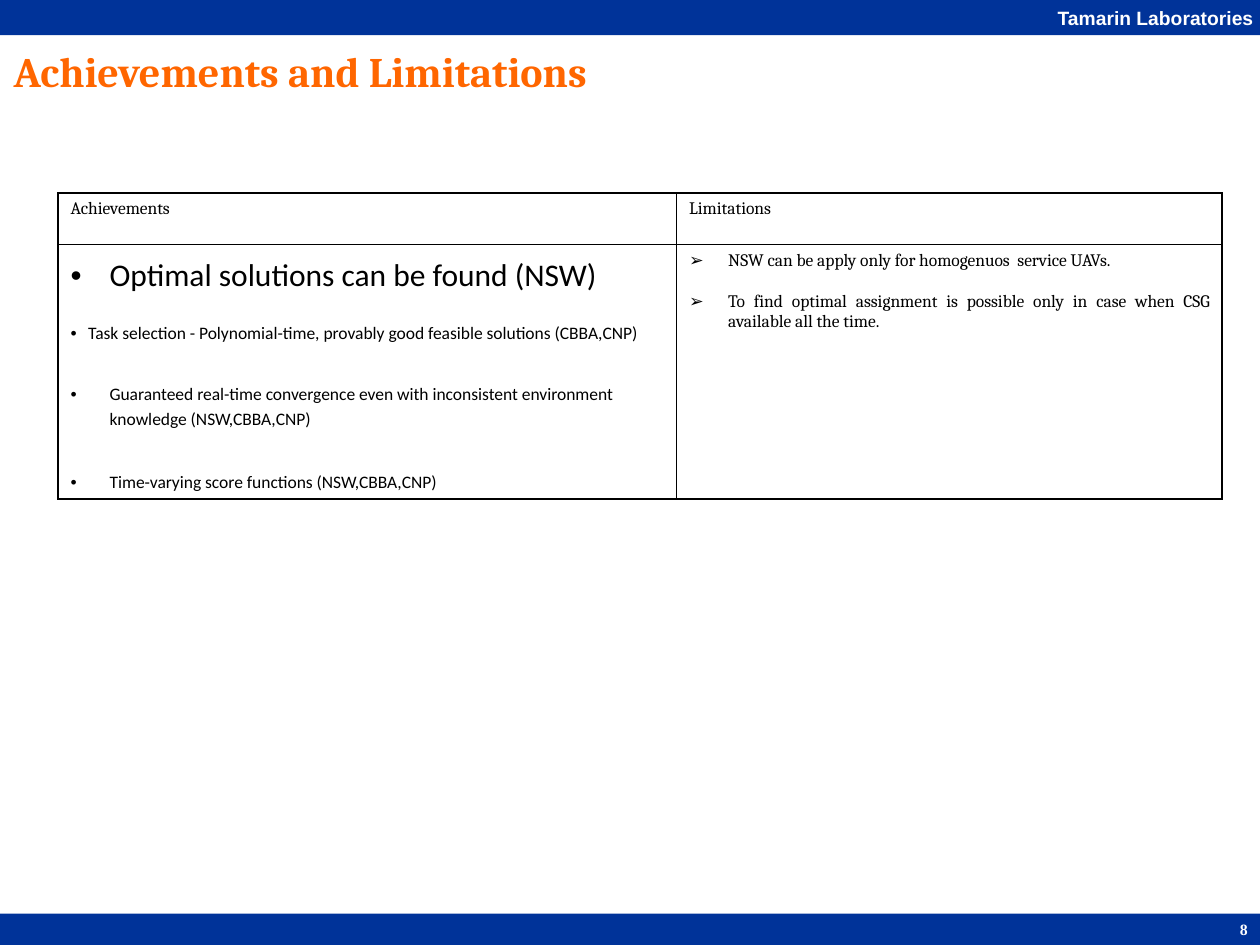
import pptx
import pptx.util
import pptx.dml.color
import pptx.enum.shapes
import pptx.enum.text
import pptx.oxml.ns
from lxml import etree

Inch, Pt = pptx.util.Inches, pptx.util.Pt
Align = pptx.enum.text.PP_ALIGN
Anchor = pptx.enum.text.MSO_ANCHOR
WIDE, HIGH = 10, 7.5
BLUE, ORANGE, WHITE, BLACK = "003399", "FF6600", "FFFFFF", "000000"

# Content
OWNER = "Tamarin Laboratories"
TITLE = "Achievements and Limitations"
PAGE = "8"
HEADS = ["Achievements", "Limitations"]
# text, size, space before, indent
GAINS = [
    ("Optimal solutions can be found (NSW)", 18, 0, 0.31),
    ("Task selection - Polynomial-time, provably good feasible solutions (CBBA,CNP)", 10, 14, 0.14),
    ("Guaranteed real-time convergence even with inconsistent environment knowledge (NSW,CBBA,CNP)",
     10, 21.2, 0.31),
    ("Time-varying score functions (NSW,CBBA,CNP)", 10, 22.4, 0.31),
]
LIMITS = [
    ("NSW can be apply only for homogenuos  service UAVs.", 10, 0, 0.31),
    ("To find optimal assignment is possible only in case when CSG available all the time.",
     10, 11.7, 0.31),
]
COLS, ROWS = [4.91, 4.33], [0.41, 2.02]


def color(code):
    return pptx.dml.color.RGBColor.from_string(code)


def style(para, size, face, code, bold=False, align=Align.LEFT):
    para.alignment = align
    for run in para.runs:
        font = run.font
        font.size, font.name, font.bold = Pt(size), face, bold
        font.color.rgb = color(code)


def node(parent, tag, **attrs):
    return etree.SubElement(parent, pptx.oxml.ns.qn(tag), **attrs)


def bar(top, high):
    shape = slide.shapes.add_shape(pptx.enum.shapes.MSO_SHAPE.RECTANGLE,
                                   0, Inch(top), Inch(WIDE), Inch(high))
    shape.shadow.inherit = False
    shape.fill.solid()
    shape.fill.fore_color.rgb = color(BLUE)
    shape.line.fill.background()
    return shape


def label(text, left, top, wide, high, anchor):
    frame = slide.shapes.add_textbox(*map(Inch, (left, top, wide, high))).text_frame
    frame.word_wrap, frame.vertical_anchor = True, anchor
    frame.text = text
    return frame.paragraphs[0]


def border(cell):
    cell.fill.background()
    props = cell._tc.get_or_add_tcPr()
    for spot, side in enumerate("LRTB"):
        line = node(props, "a:ln" + side, w=str(Pt(1)))
        node(node(line, "a:solidFill"), "a:srgbClr", val=BLACK)
        props.insert(spot, line)


def bullets(cell, items, mark, face, align, space):
    frame = cell.text_frame
    frame.text = "\n".join(item[0] for item in items)
    for para, (_, size, gap, indent) in zip(frame.paragraphs, items):
        style(para, size, face, BLACK, align=align)
        para.line_spacing, para.space_before = space, Pt(gap)
        props = para._p.get_or_add_pPr()
        props.set("marL", str(Inch(indent)))
        props.set("indent", str(-Inch(indent)))
        node(props, "a:buFont", typeface="Arial")
        node(props, "a:buChar", char=mark)


deck = pptx.Presentation()
deck.slide_width, deck.slide_height = Inch(WIDE), Inch(HIGH)
slide = deck.slides.add_slide(deck.slide_layouts[6])

# Bars at foot and head
bar(HIGH - 0.25, 0.25)
frame = bar(0, 0.28).text_frame
frame.margin_left = frame.margin_top = frame.margin_bottom = 0
frame.margin_right = Inch(0.05)
frame.word_wrap, frame.vertical_anchor = False, Anchor.MIDDLE
frame.text = OWNER
style(frame.paragraphs[0], 11, "Arial", WHITE, True, Align.RIGHT)

# Page number and title
style(label(PAGE, 7.58, 7, 2.42, 0.5, Anchor.BOTTOM),
      9, "Times New Roman", WHITE, True, Align.RIGHT)
style(label(TITLE, 0.01, 0.31, 8.37, 0.5, Anchor.TOP), 24, "Cambria", ORANGE, True)

# Table
table = slide.shapes.add_table(len(ROWS), len(COLS), Inch(0.46), Inch(1.53),
                               Inch(sum(COLS)), Inch(sum(ROWS))).table
table.first_row = table.horz_banding = False
for col, wide in zip(table.columns, COLS):
    col.width = Inch(wide)
for row, high in zip(table.rows, ROWS):
    row.height = Inch(high)
for cell in table.iter_cells():
    border(cell)
for spot, head in enumerate(HEADS):
    cell = table.cell(0, spot)
    cell.text_frame.text = head
    style(cell.text_frame.paragraphs[0], 10, "Cambria", BLACK, align=Align.JUSTIFY)
bullets(table.cell(1, 0), GAINS, "•", "Calibri", Align.LEFT, 1.15)
bullets(table.cell(1, 1), LIMITS, "➢", "Cambria", Align.JUSTIFY, 1.0)

deck.save("out.pptx")
